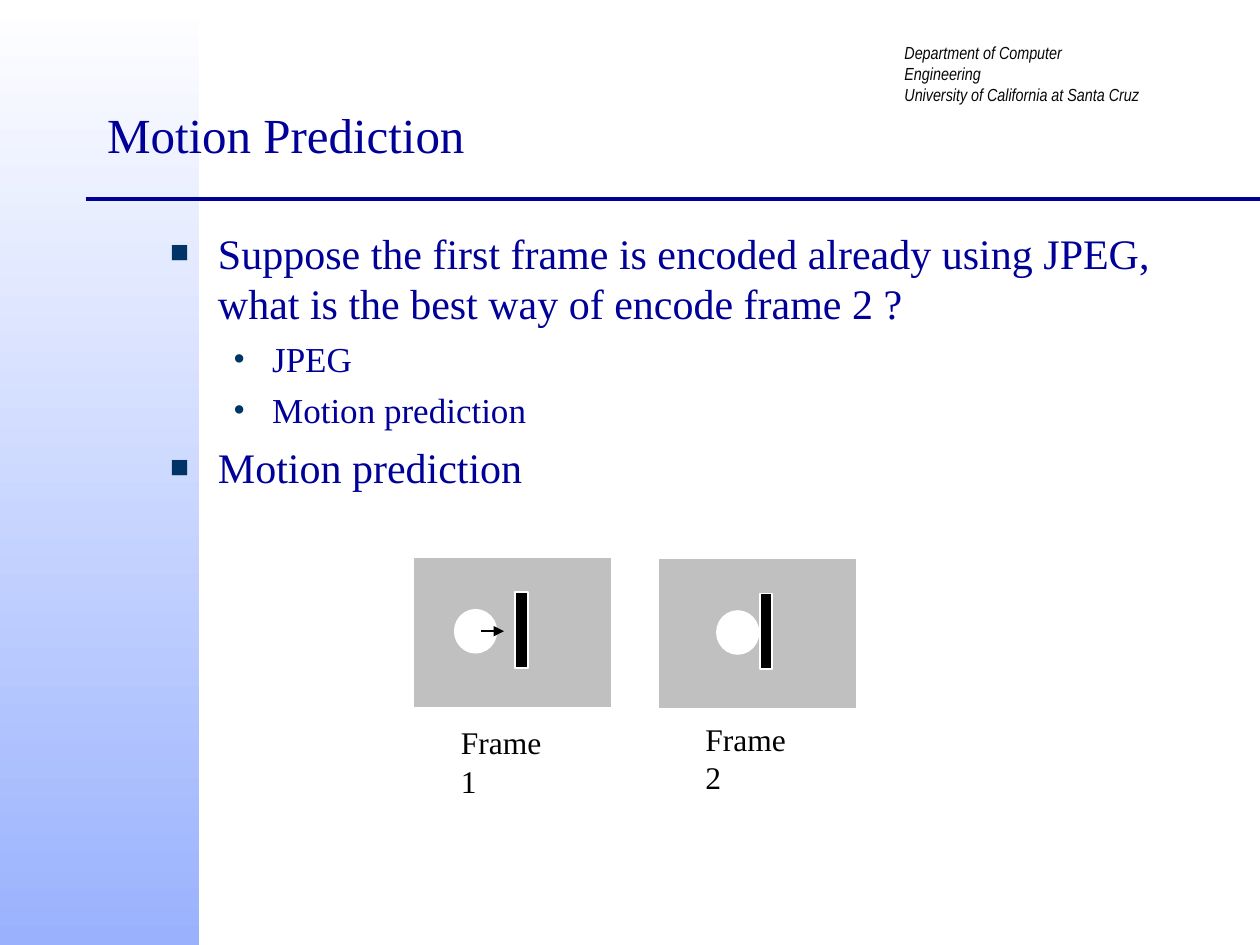
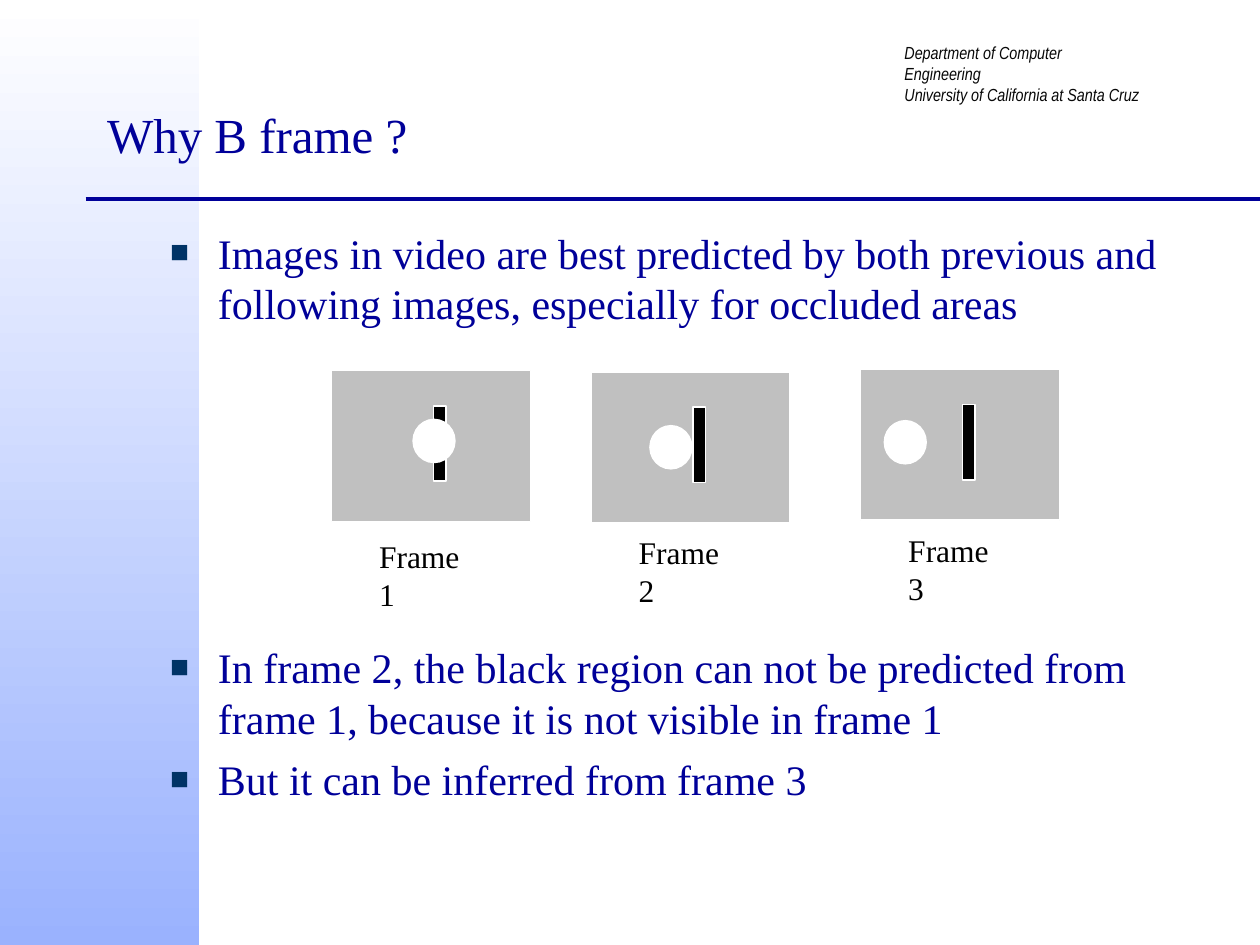
import dataclasses

import lxml.etree
import pptx
import pptx.dml.color
import pptx.enum.shapes
import pptx.enum.text
import pptx.oxml.ns
import pptx.util

Inches = pptx.util.Inches
Pt = pptx.util.Pt
MSO_SHAPE = pptx.enum.shapes.MSO_SHAPE
qn = pptx.oxml.ns.qn


@dataclasses.dataclass(frozen=True)
class Theme:
    navy: str = "000099"
    bullet: str = "003366"
    sky: str = "9AB2FE"
    ink: str = "080808"
    black: str = "000000"
    white: str = "FFFFFF"
    grey: str = "C0C0C0"
    serif: str = "Times New Roman"
    narrow: str = "Arial Narrow"
    title: int = 28
    topic: int = 24
    detail: int = 20
    caption: int = 18
    header: int = 10
    leading: float = 1.21


theme = Theme()
rgb = pptx.dml.color.RGBColor.from_string


def write(frame, text, size=theme.topic, colour=theme.navy, font=theme.serif,
          italic=False, before=0, level=0, bullet=None, bullet_size=100, indent=0, hanging=0):
    paragraph = frame.add_paragraph() if frame.text else frame.paragraphs[0]
    paragraph.alignment = pptx.enum.text.PP_ALIGN.LEFT
    paragraph.level = level
    paragraph.line_spacing = Pt(round(size * theme.leading, 1))
    paragraph.space_before = Pt(before)
    run = paragraph.add_run()
    run.text = text
    run.font.size = Pt(size)
    run.font.name = font
    run.font.italic = italic
    run.font.color.rgb = rgb(colour)
    if bullet:
        properties = paragraph._p.get_or_add_pPr()
        properties.set("marL", str(Inches(indent)))
        properties.set("indent", str(Inches(-hanging)))
        bullet_colour = lxml.etree.SubElement(properties, qn("a:buClr"))
        lxml.etree.SubElement(bullet_colour, qn("a:srgbClr"), val=theme.bullet)
        lxml.etree.SubElement(properties, qn("a:buSzPct"), val=str(bullet_size * 1000))
        lxml.etree.SubElement(properties, qn("a:buFont"), typeface=theme.serif)
        lxml.etree.SubElement(properties, qn("a:buChar"), char=bullet)


def draw_line(slide, start, end, colour, width):
    line = slide.shapes.add_connector(
        pptx.enum.shapes.MSO_CONNECTOR.STRAIGHT, *map(Inches, start + end))
    line.line.color.rgb = rgb(colour)
    line.line.width = Pt(width)
    lxml.etree.SubElement(line.element.spPr, qn("a:effectLst"))
    return line


topic = dict(size=theme.topic, before=6, bullet="■", bullet_size=75, indent=0.38, hanging=0.38)
detail = dict(size=theme.detail, before=5, level=1, bullet="•", indent=0.81, hanging=0.31)
below_frames = topic | dict(before=179)

lessons = [
    dict(
        title="Motion Prediction",
        body_size=(8.51, 5.27),
        points=[
            ("Suppose the first frame is encoded already using JPEG, "
             "what is the best way of encode frame 2 ?", topic),
            ("JPEG", detail),
            ("Motion prediction", detail),
            ("Motion prediction", topic),
        ],
        frames=[
            (3.28, 4.42, 0.33, 0.42, 1.27),
            (5.22, 4.43, 0.47, 0.42, 1.23),
        ],
        motion=((3.82, 5.01), (4, 5.01)),
    ),
    dict(
        title="Why B frame ?",
        body_size=(8.5, 5.33),
        points=[
            ("Images in video are best predicted by both previous and "
             "following images, especially for occluded areas", topic),
            ("In frame 2, the black region can not be predicted from "
             "frame 1, because it is not visible in frame 1", below_frames),
            ("But it can be inferred from frame 3", topic),
        ],
        frames=[
            (2.63, 2.94, 0.65, 0.39, 1.27),
            (4.69, 2.95, 0.47, 0.43, 1.23),
            (6.83, 2.93, 0.19, 0.41, 1.23),
        ],
        motion=None,
    ),
]

deck = pptx.Presentation()
deck.slide_width = Inches(10)
deck.slide_height = Inches(7.5)
layout = deck.slide_layouts[1]
slides = [deck.slides.add_slide(layout) for _ in lessons]

band = slides[0].shapes.add_shape(MSO_SHAPE.RECTANGLE, 0, 0, Inches(1.58), deck.slide_height)
band.shadow.inherit = False
band.line.fill.background()
band.fill.gradient()
band.fill.gradient_angle = 270
for stop, colour in zip(band.fill.gradient_stops, (theme.white, theme.sky)):
    stop.color.rgb = rgb(colour)

rule = draw_line(slides[0], (0.68, 1.58), (10, 1.58), theme.navy, 2)

department = slides[0].shapes.add_textbox(*map(Inches, (7.08, 0.28, 2.08, 0.44)))
department.text_frame.word_wrap = False
for text in ("Department of Computer Engineering", "University of California at Santa Cruz"):
    write(department.text_frame, text, size=theme.header, colour=theme.ink,
          font=theme.narrow, italic=True)

for shared in (band, rule, department):
    layout.shapes.element.append(shared.element)

for slide, lesson in zip(slides, lessons):
    title, body = slide.placeholders
    title.left, title.top, title.width, title.height = map(Inches, (0.75, 0.58, 8.52, 0.96))
    title.text_frame.vertical_anchor = pptx.enum.text.MSO_ANCHOR.MIDDLE
    write(title.text_frame, lesson["title"], size=theme.title)

    body.left, body.top, body.width, body.height = map(Inches, (1.25, 1.75, *lesson["body_size"]))
    for text, style in lesson["points"]:
        write(body.text_frame, text, **style)
    for placeholder in (title, body):
        placeholder.text_frame.auto_size = pptx.enum.text.MSO_AUTO_SIZE.NONE

    for number, (left, top, disc_x, disc_y, caption_y) in enumerate(lesson["frames"], 1):
        for kind, x, y, width, height, colour in (
            (MSO_SHAPE.RECTANGLE, 0, 0, 1.58, 1.2, theme.grey),
            (MSO_SHAPE.RECTANGLE, 0.81, 0.28, 0.1, 0.6, theme.black),
            (MSO_SHAPE.OVAL, disc_x, disc_y, 0.33, 0.34, theme.white),
        ):
            part = slide.shapes.add_shape(
                kind, *map(Inches, (left + x, top + y, width, height)))
            part.shadow.inherit = False
            part.fill.solid()
            part.fill.fore_color.rgb = rgb(colour)
            part.line.color.rgb = rgb(theme.white)
            part.line.width = Pt(1)
        caption = slide.shapes.add_textbox(
            *map(Inches, (left + 0.28, top + caption_y, 1.02, 0.4)))
        caption.text_frame.word_wrap = False
        write(caption.text_frame, f"Frame {number}", size=theme.caption, colour=theme.black)

    if lesson["motion"]:
        motion = draw_line(slide, *lesson["motion"], theme.black, 1)
        lxml.etree.SubElement(motion.line._get_or_add_ln(), qn("a:tailEnd"), type="triangle")

deck.save("out.pptx")
